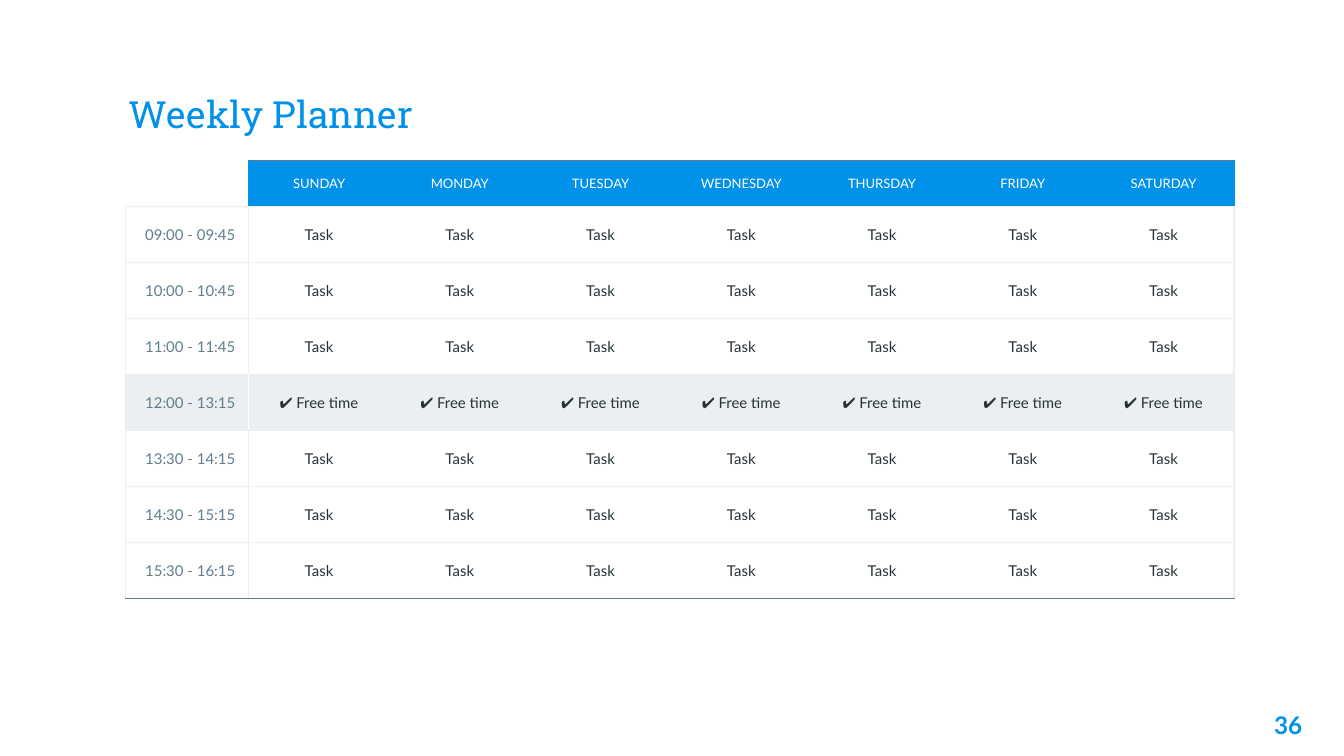
from lxml import etree
from pptx import Presentation
from pptx.dml.color import RGBColor as Rgb
from pptx.enum.text import MSO_ANCHOR as Anchor, PP_ALIGN as Align
from pptx.oxml.ns import qn
from pptx.util import Cm, Pt

HUES = {"blue": "0091EA", "slate": "607D8B", "ink": "263238",
        "pale": "ECEFF1", "white": "FFFFFF"}
DAYS = ["SUNDAY", "MONDAY", "TUESDAY", "WEDNESDAY", "THURSDAY", "FRIDAY", "SATURDAY"]
HOURS = ["09:00 - 09:45", "10:00 - 10:45", "11:00 - 11:45", "12:00 - 13:15",
         "13:30 - 14:15", "14:30 - 15:15", "15:30 - 16:15"]
BREAK = 4  # table row of the free time


def write(frame, text, size=8, hue="ink", font="Lato", bold=False, align=Align.CENTER):
    para = frame.paragraphs[0]
    para.alignment = align
    run = para.add_run()
    run.text = text
    run.font.size = Pt(size)
    run.font.name = font
    run.font.bold = bold
    run.font.color.rgb = Rgb.from_string(HUES[hue])


class Deck:
    pad = Cm(0.25)

    def __init__(self):
        self.prs = Presentation()
        self.prs.slide_width, self.prs.slide_height = Cm(25.4), Cm(14.29)
        self.slide = self.prs.slides.add_slide(self.prs.slide_layouts[5])

    def inset(self, item):
        item.margin_left = item.margin_right = self.pad
        item.margin_top = item.margin_bottom = self.pad

    def title(self, text, x, y, w, h):
        shape = self.slide.shapes.title
        shape.left, shape.top, shape.width, shape.height = Cm(x), Cm(y), Cm(w), Cm(h)
        frame = shape.text_frame
        self.inset(frame)
        frame.vertical_anchor = Anchor.BOTTOM
        write(frame, text, size=20, hue="blue", font="Roboto Slab", align=Align.LEFT)

    def label(self, text, x, y, w, h, **style):
        frame = self.slide.shapes.add_textbox(Cm(x), Cm(y), Cm(w), Cm(h)).text_frame
        frame.word_wrap = True
        self.inset(frame)
        write(frame, text, **style)

    def table(self, x, y, cols, rows):
        grid = self.slide.shapes.add_table(
            len(rows), len(cols), Cm(x), Cm(y), Cm(sum(cols)), Cm(sum(rows))).table
        grid.first_row = grid.horz_banding = False
        for col, width in zip(grid.columns, cols):
            col.width = Cm(width)
        for row, height in zip(grid.rows, rows):
            row.height = Cm(height)
        return grid

    def cell(self, cell, text, fill, edges, **style):
        cell.vertical_anchor = Anchor.MIDDLE
        if text:
            self.inset(cell)
            write(cell.text_frame, text, **style)
        else:
            cell.margin_top = cell.margin_bottom = 0
        if fill:
            cell.fill.solid()
            cell.fill.fore_color.rgb = Rgb.from_string(HUES[fill])
        else:
            cell.fill.background()
        # Borders come before the fill, in the order left, right, top, bottom
        props = cell._tc.get_or_add_tcPr()
        for spot, (side, hue) in enumerate(zip("LRTB", edges)):
            line = etree.Element(qn(f"a:ln{side}"), w=str(Pt(0.75)))
            if hue:
                paint = etree.SubElement(line, qn("a:solidFill"))
                etree.SubElement(paint, qn("a:srgbClr"), val=HUES[hue])
            else:
                etree.SubElement(line, qn("a:noFill"))
            props.insert(spot, line)


def upright(row, k):
    """Colour of the vertical border number k in a row."""
    if k not in (0, 1, len(DAYS) + 1):
        return None
    if row == 0:
        return "blue" if k else None
    return "white" if row == BREAK and k == 1 else "pale"


def level(col, k):
    """Colour of the horizontal border number k in a column."""
    if k == 0:
        return "slate" if col else None
    return "slate" if k == len(HOURS) + 1 else "pale"


def main():
    deck = Deck()
    deck.title("Weekly Planner", 2.18, 0.86, 21.03, 1.96)
    deck.label("36", 23.34, 13.18, 1.52, 1.09,
               size=13, hue="blue", bold=True, align=Align.RIGHT)

    # Planner: a header row, then one row per time slot
    grid = deck.table(2.37, 3.04, [2.33] + [2.66] * len(DAYS),
                      [0.86] + [1.06] * len(HOURS))
    for r in range(len(HOURS) + 1):
        for c in range(len(DAYS) + 1):
            fill = "pale" if r == BREAK else None
            style = {}
            if r == 0:
                text = DAYS[c - 1] if c else ""
                fill = "blue" if c else None
                style = {"size": 7, "hue": "white"}
            elif c == 0:
                text = HOURS[r - 1]
                style = {"hue": "slate", "align": Align.RIGHT}
            else:
                text = "✔ Free time" if r == BREAK else "Task"
            edges = (upright(r, c), upright(r, c + 1), level(c, r), level(c, r + 1))
            deck.cell(grid.cell(r, c), text, fill, edges, **style)

    deck.prs.save("out.pptx")


if __name__ == "__main__":
    main()
